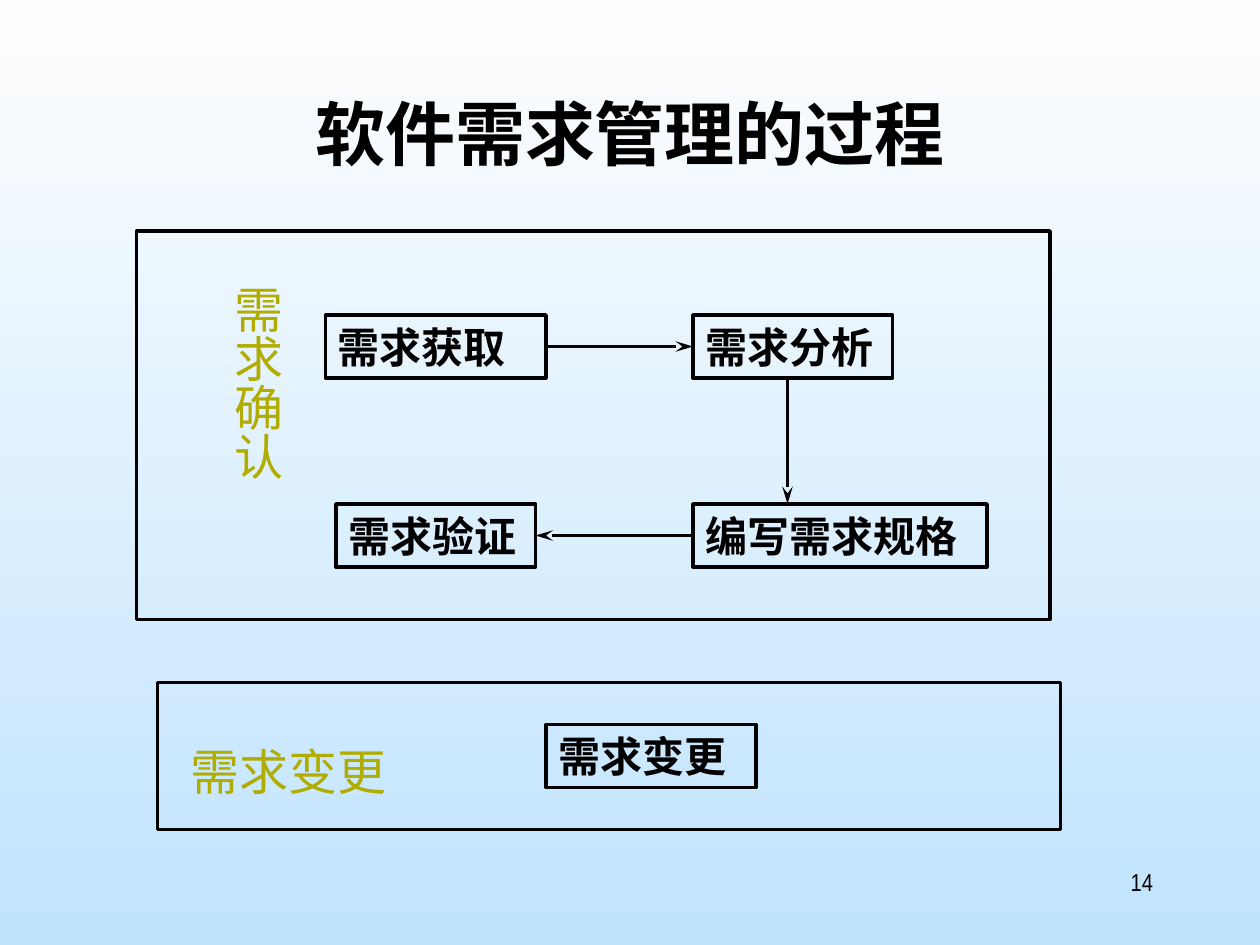
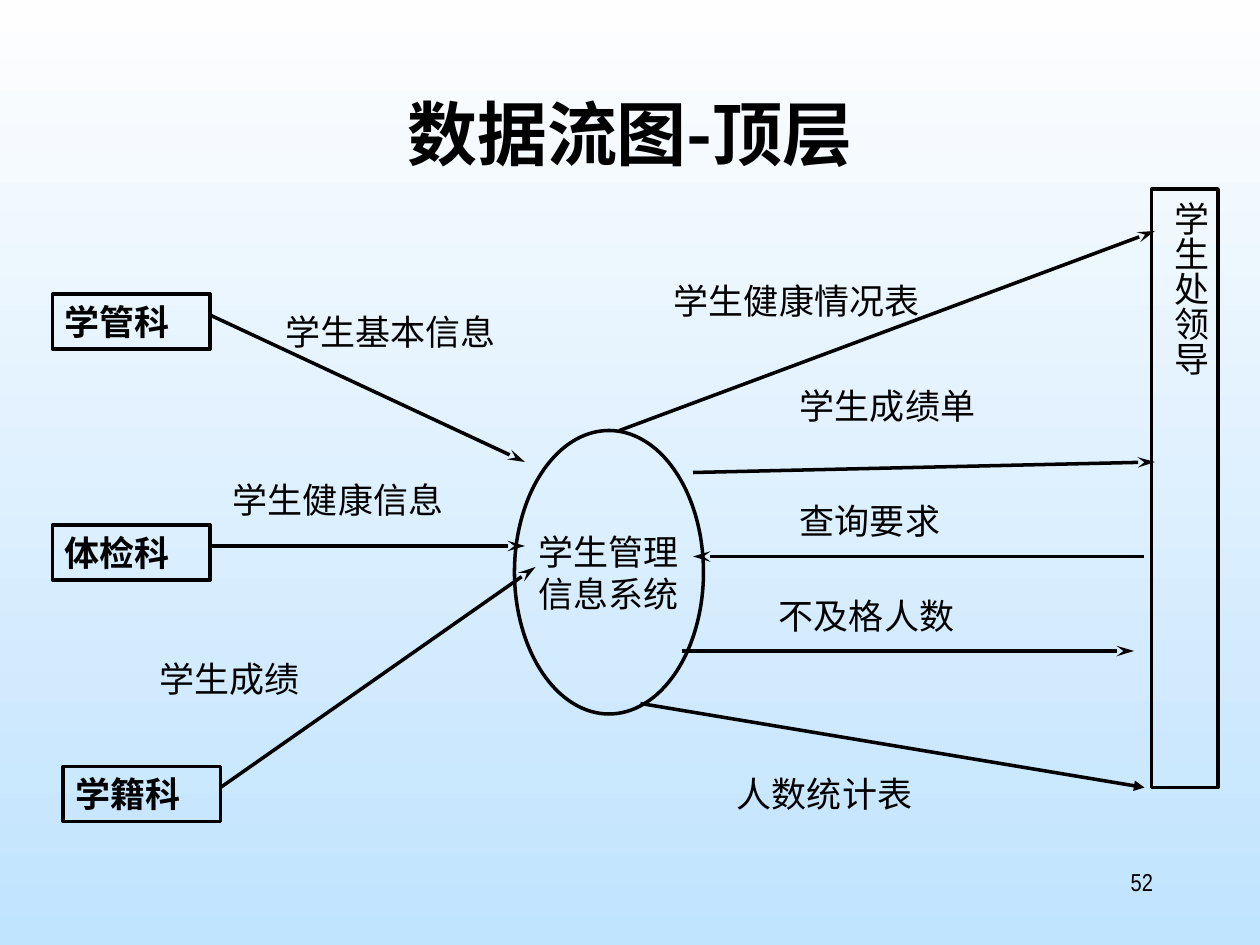
from lxml import etree
from pptx import Presentation
from pptx.dml.color import RGBColor
from pptx.enum.shapes import MSO_CONNECTOR as Connector, MSO_SHAPE as Shape
from pptx.enum.text import MSO_ANCHOR as Anchor, PP_ALIGN as Align
from pptx.oxml.ns import qn
from pptx.util import Pt

COLORS = {"ink": "000000", "accent": "B0AC00", "sky_top": "FEFEFE", "sky_bottom": "C0E3FE"}
TITLE_FONT, BODY_FONT = "Noto Sans CJK SC", "Arial Narrow"
TITLE_BOX = (54, 48, 612, 90)
NUMBER_BOX = (516, 492, 150, 36)

STEP_HEIGHT, OFFICE_SIZE, LABEL_HEIGHT = 36, (90, 31.5), 31.5

PROCESS = {
    "title": "软件需求管理的过程",
    "number": "14",
    "steps": [
        ("需求分析", 396, 180, 114),
        ("编写需求规格", 396, 288, 168),
        ("需求验证", 192, 288, 114),
        ("需求获取", 186, 180, 126),
        ("需求变更", 312, 414, 120),
    ],
    "arrows": [
        ((312, 198), (396, 198)),
        ((450, 216), (450, 288)),
        ((396, 306), (306, 306)),
    ],
    "frames": [(78, 132, 522, 222), (90, 390, 516, 84)],
    "confirm": ("需求确认", (120, 156, 47.5, 180)),
    "change": ("需求变更", (102, 420, 168, 41)),
}

DATA_FLOW = {
    "title": "数据流图-顶层",
    "number": "52",
    "offices": [("学管科", 30, 168), ("体检科", 30, 300), ("学籍科", 36, 438)],
    "system": (["学生管理", "信息系统"], (294, 246, 108, 162)),
    "leaders": ("学生处领导", (658, 108, 38, 342)),
    "arrows": [
        ((120, 180), (300, 264)),
        ((120, 312), (300, 312)),
        ((126, 450), (306, 324)),
        ((354, 246), (660, 132)),
        ((396, 270), (660, 264)),
        ((654, 318), (396, 318)),
        ((390, 372), (648, 372)),
    ],
    "report_arrow": ((366, 402), (654, 450)),
    "labels": [
        ("学生基本信息", 156, 174, 174),
        ("学生健康信息", 126, 270, 156),
        ("学生成绩", 84, 372, 96),
        ("学生健康情况表", 378, 156, 168),
        ("学生成绩单", 450, 216, 168),
        ("查询要求", 450, 282, 168),
        ("不及格人数", 438, 336, 168),
        ("人数统计表", 414, 438, 168),
    ],
}


def rgb(name):
    return RGBColor.from_string(COLORS[name])


def write(shape, lines, size, bold=False, align=Align.LEFT, color="ink",
          font=BODY_FONT, vertical=False, wrap=True, anchor=Anchor.TOP):
    frame = shape.text_frame
    frame.word_wrap = wrap
    frame.vertical_anchor = anchor
    side, end = (3.6, 7.2) if vertical else (7.2, 3.6)
    frame.margin_left = frame.margin_right = Pt(side)
    frame.margin_top = frame.margin_bottom = Pt(end)
    if vertical:
        frame._txBody.bodyPr.set("vert", "eaVert")
    frame.text = "\n".join(lines)
    for paragraph in frame.paragraphs:
        paragraph.alignment = align
        paragraph.font.size = Pt(size)
        paragraph.font.bold = bold
        paragraph.font.name = font
        paragraph.font.color.rgb = rgb(color)


def add_text(slide, text, box, size, **style):
    write(slide.shapes.add_textbox(*map(Pt, box)), [text], size, **style)


def add_outline(slide, box, kind=Shape.RECTANGLE):
    shape = slide.shapes.add_shape(kind, *map(Pt, box))
    shape.shadow.inherit = False
    shape.fill.background()
    shape.line.color.rgb = rgb("ink")
    shape.line.width = Pt(2)
    return shape


def add_arrow(slide, start, end, head="stealth", length="lg"):
    arrow = slide.shapes.add_connector(Connector.STRAIGHT, *map(Pt, start + end))
    arrow.line.color.rgb = rgb("ink")
    arrow.line.width = Pt(2)
    etree.SubElement(arrow.line._get_or_add_ln(), qn("a:tailEnd"),
                     type=head, w="med", len=length)
    etree.SubElement(arrow._element.spPr, qn("a:effectLst"))


def add_slide(presentation, content):
    slide = presentation.slides.add_slide(presentation.slide_layouts[6])
    fill = slide.background.fill
    fill.gradient()
    fill.gradient_angle = 270
    for stop, name in zip(fill.gradient_stops, ("sky_top", "sky_bottom")):
        stop.color.rgb = rgb(name)
    add_text(slide, content["title"], TITLE_BOX, 40, bold=True,
             align=Align.CENTER, font=TITLE_FONT)
    add_text(slide, content["number"], NUMBER_BOX, 14, align=Align.RIGHT)
    for start, end in content["arrows"]:
        add_arrow(slide, start, end)
    return slide


def build_process(presentation):
    slide = add_slide(presentation, PROCESS)
    for box in PROCESS["frames"]:
        add_outline(slide, box)
    for text, left, top, width in PROCESS["steps"]:
        write(add_outline(slide, (left, top, width, STEP_HEIGHT)), [text], 24, bold=True)
    add_text(slide, *PROCESS["confirm"], 28, color="accent", vertical=True)
    add_text(slide, *PROCESS["change"], 28, color="accent")


def build_data_flow(presentation):
    slide = add_slide(presentation, DATA_FLOW)
    for text, left, top in DATA_FLOW["offices"]:
        write(add_outline(slide, (left, top, *OFFICE_SIZE)), [text], 20, bold=True)
    lines, box = DATA_FLOW["system"]
    write(add_outline(slide, box, Shape.OVAL), lines, 20, align=Align.CENTER,
          wrap=False, anchor=Anchor.MIDDLE)
    text, box = DATA_FLOW["leaders"]
    write(add_outline(slide, box), [text], 20, align=Align.CENTER, vertical=True)
    add_arrow(slide, *DATA_FLOW["report_arrow"], head="triangle", length="med")
    for text, left, top, width in DATA_FLOW["labels"]:
        add_text(slide, text, (left, top, width, LABEL_HEIGHT), 20)


def main():
    presentation = Presentation()
    presentation.slide_width, presentation.slide_height = Pt(720), Pt(540)
    build_process(presentation)
    build_data_flow(presentation)
    presentation.save("out.pptx")


if __name__ == "__main__":
    main()
